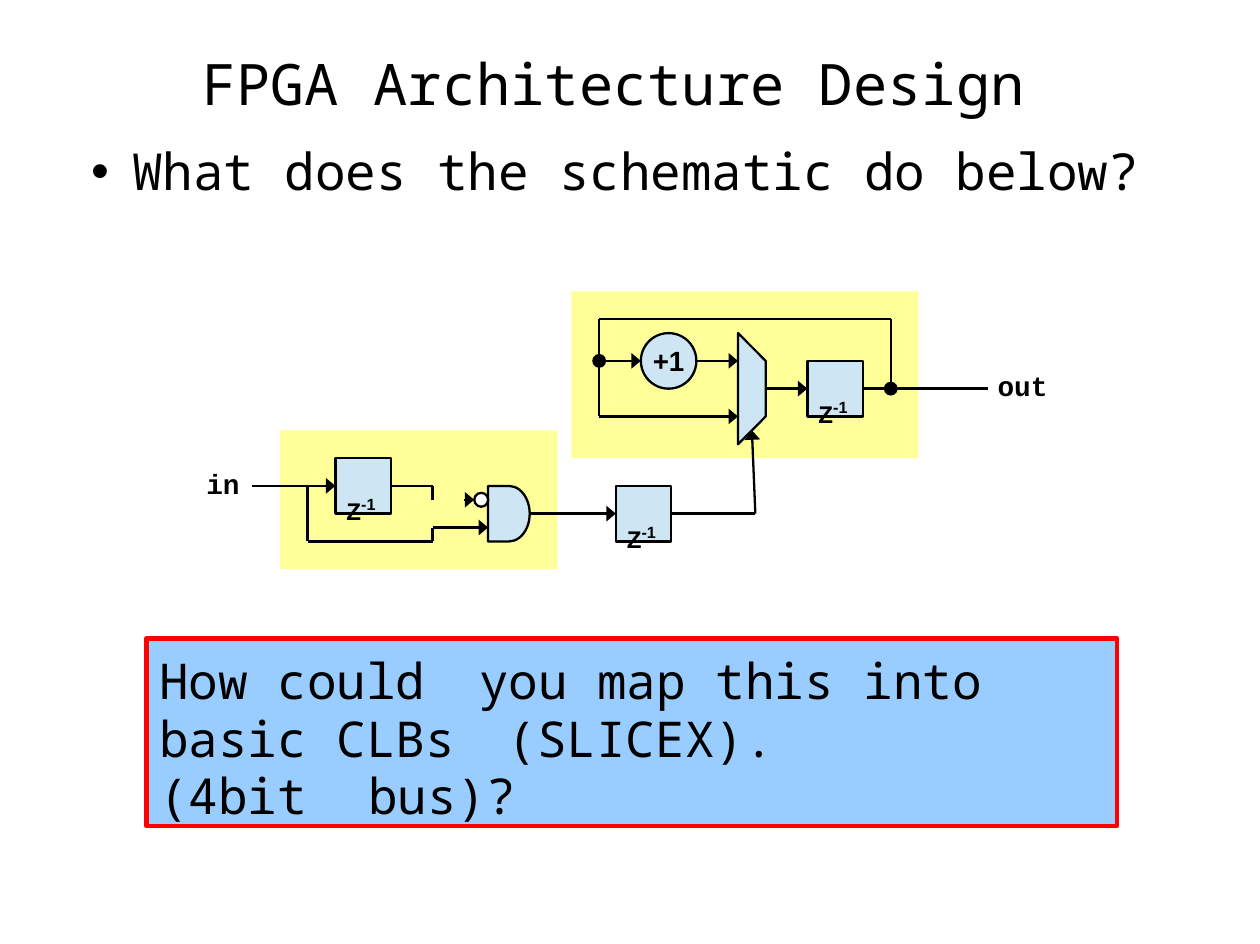
from lxml import etree
from pptx import Presentation, util as u
from pptx.dml.color import RGBColor
from pptx.enum import shapes, text
from pptx.oxml.ns import qn

theme = {
    "ink": RGBColor.from_string("000000"),
    "white": RGBColor.from_string("FFFFFF"),
    "panel": RGBColor.from_string("FFFF99"),
    "block": RGBColor.from_string("CEE6F4"),
    "answer": RGBColor.from_string("99CCFF"),
    "border": RGBColor.from_string("FF0000"),
    "heading": "Noto Sans Mono", "label": "Arial", "port": "Courier New",
    "title": 36, "question": 32.1, "task": 31.1, "tag": 17.5,
    "delay": 26.2, "power": 10.2, "wire": 1.44, "frame": 2.89,
}

deck = Presentation()
deck.slide_width, deck.slide_height = u.Inches(11.03), u.Inches(8.26)
page = deck.slides.add_slide(deck.slide_layouts[6])

cell = u.Pt(8.75)
left, top = u.Inches(2.45), u.Inches(2.55)


def place(column, row, columns, rows, kind=None, fill=None, line=None, weight=theme["wire"]):
    area = (int(left + column * cell), int(top + row * cell), int(columns * cell), int(rows * cell))
    if kind is None:
        box = page.shapes.add_textbox(*area)
    else:
        box = page.shapes.add_shape(kind, *area)
        box.shadow.inherit = False
        box.fill.solid()
        box.fill.fore_color.rgb = fill
        if line is None:
            box.line.fill.background()
        else:
            box.line.color.rgb = line
            box.line.width = u.Pt(weight)
    frame = box.text_frame
    frame.margin_left = frame.margin_right = frame.margin_top = frame.margin_bottom = 0
    frame.word_wrap = True
    return box


def style(para, face, size, bold=False):
    for span in para.runs:
        span.font.name, span.font.size, span.font.bold = face, u.Pt(size), bold
        span.font.color.rgb = theme["ink"]


kinds = shapes.MSO_SHAPE

for panel in ((21, 0, 25, 12), (0, 10, 20, 10)):
    place(*panel, kinds.RECTANGLE, theme["panel"])

title = place(-5.6, -17.5, 69, 5.1).text_frame
title.text = "FPGA Architecture Design"
style(title.paragraphs[0], theme["heading"], theme["title"])

question = place(-13.6, -10.9, 80, 4.5).text_frame
question.text = "What does the schematic do below?"
para = question.paragraphs[0]
style(para, theme["heading"], theme["question"])
props = para._p.get_or_add_pPr()
props.set("marL", str(u.Inches(0.36)))
props.set("indent", str(-u.Inches(0.36)))
etree.SubElement(props, qn("a:buFont")).set("typeface", theme["label"])
etree.SubElement(props, qn("a:buChar")).set("char", "•")

sites = {}
delays = ((4, 12), (24.2, 14), (38, 5))
blocks = [(column, row, 4, 4, kinds.RECTANGLE) for column, row in delays]
blocks.append((15, 14, 3, 4, kinds.FLOWCHART_DELAY))
for column, row, columns, rows, kind in blocks:
    block = place(column, row, columns, rows, kind, theme["block"], theme["ink"])
    sites[column, row + rows / 2] = block, 1
    sites[column + columns, row + rows / 2] = block, 3

for column, row in delays:
    para = place(column + 0.8, row + 0.8, 3, 2.4).text_frame.paragraphs[0]
    for content in ("Z", "-1"):
        para.add_run().text = content
    style(para, theme["label"], theme["delay"], True)
    base, power = para.runs
    base.font._element.set("baseline", "-23000")
    power.font.size = u.Pt(theme["power"])

counter = place(26, 3, 4, 4, kinds.OVAL, theme["block"], theme["ink"])
counter.text_frame.text = "+1"
counter.text_frame.vertical_anchor = text.MSO_ANCHOR.MIDDLE
counter.text_frame.paragraphs[0].alignment = text.PP_ALIGN.CENTER
style(counter.text_frame.paragraphs[0], theme["label"], theme["tag"], True)

outline = page.shapes.build_freeform(33, 3, scale=cell)
outline.add_line_segments([(35, 5), (35, 9), (33, 11)], close=True)
mux = outline.convert_to_shape(left, top)
mux.shadow.inherit = False
mux.fill.solid()
mux.fill.fore_color.rgb = theme["block"]
mux.line.color.rgb = theme["ink"]
mux.line.width = u.Pt(theme["wire"])

place(14, 14.5, 1, 1, kinds.OVAL, theme["white"], theme["ink"])
for column, row in ((23, 5), (44, 7)):
    place(column - 0.5, row - 0.5, 1, 1, kinds.OVAL, theme["ink"])

arrows = [
    ((-2, 14), (4, 14)), ((13.3, 15), (14, 15)), ((11, 17), (15, 17)),
    ((18, 16), (24.2, 16)), ((34.25, 16), (34, 10)), ((23, 5), (26, 5)),
    ((30, 5), (33, 5)), ((23, 9), (33, 9)), ((35, 7), (38, 7)),
]
lines = [
    ((8, 14), (11, 14)), ((11, 14), (11, 15)), ((2, 14), (2, 18)),
    ((2, 18), (11, 18)), ((11, 18), (11, 17)), ((28.2, 16), (34.25, 16)),
    ((23, 9), (23, 2)), ((23, 2), (44, 2)), ((44, 2), (44, 7)), ((42, 7), (51, 7)),
]
for start, end in arrows + lines:
    points = [int(edge + step * cell) for point in (start, end) for edge, step in zip((left, top), point)]
    wire = page.shapes.add_connector(shapes.MSO_CONNECTOR.STRAIGHT, *points)
    if start in sites:
        wire.begin_connect(*sites[start])
    if end in sites:
        wire.end_connect(*sites[end])
    wire.line.color.rgb = theme["ink"]
    wire.line.width = u.Pt(theme["wire"])
    if (start, end) in arrows:
        head = etree.SubElement(wire.line._get_or_add_ln(), qn("a:tailEnd"))
        head.set("type", "triangle")
        head.set("w", "lg")
        head.set("len", "med")
    etree.SubElement(wire._element.spPr, qn("a:effectLst"))

for content, column, row in (("in", -5.3, 12.6), ("out", 51.7, 5.6)):
    port = place(column, row, 4.5, 2.4).text_frame
    port.text = content
    style(port.paragraphs[0], theme["port"], theme["tag"], True)

answer = place(-9.6, 25, 69.9, 13.5, kinds.RECTANGLE, theme["answer"], theme["border"], theme["frame"])
frame = answer.text_frame
frame.margin_left, frame.margin_top = u.Inches(0.11), u.Inches(0.12)
frame.vertical_anchor = text.MSO_ANCHOR.TOP
frame.text = "How could\tyou map this into\nbasic CLBs\t(SLICEX).\n(4bit\tbus)?"
for para, stop in zip(frame.paragraphs, (2.8, 3.05, 1.83)):
    para.alignment = text.PP_ALIGN.LEFT
    para.line_spacing = u.Pt(36.2)
    style(para, theme["heading"], theme["task"])
    tabs = etree.SubElement(para._p.get_or_add_pPr(), qn("a:tabLst"))
    tab = etree.SubElement(tabs, qn("a:tab"))
    tab.set("pos", str(u.Inches(stop)))
    tab.set("algn", "l")

deck.save("out.pptx")
